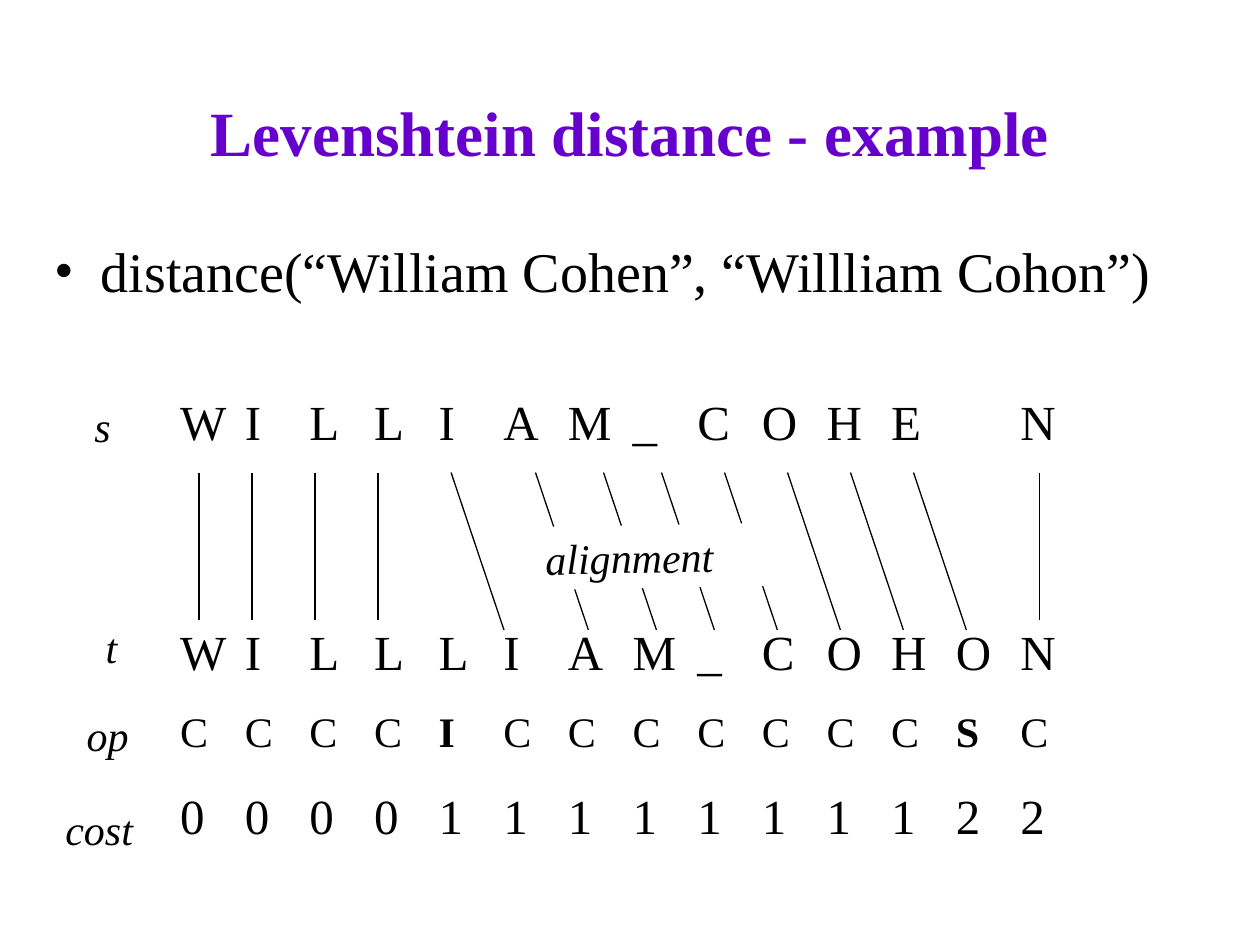
from lxml import etree
from pptx import Presentation
from pptx.dml.color import RGBColor
from pptx.enum.shapes import MSO_CONNECTOR, MSO_SHAPE
from pptx.enum.text import MSO_ANCHOR, MSO_AUTO_SIZE, PP_ALIGN
from pptx.oxml.ns import qn
from pptx.util import Inches, Pt

STRAIGHT = MSO_CONNECTOR.STRAIGHT
RECTANGLE = MSO_SHAPE.RECTANGLE
MIDDLE, TOP = MSO_ANCHOR.MIDDLE, MSO_ANCHOR.TOP
NO_FIT, GROW = MSO_AUTO_SIZE.NONE, MSO_AUTO_SIZE.SHAPE_TO_FIT_TEXT
LEFT, CENTER, RIGHT = PP_ALIGN.LEFT, PP_ALIGN.CENTER, PP_ALIGN.RIGHT

TITLE = "Levenshtein distance - example"
QUESTION = "distance(“William Cohen”, “Willliam Cohon”)"
ALIGNMENT = "alignment"

# One character per column; a space is an empty cell
SOURCE = "WILLIAM_COHE N"
TARGET = "WILLLIAM_COHON"
OPERATIONS = "CCCCICCCCCCCSC"
COSTS = "00001111111122"
EDITS = "IS"

# text, left, top, width, alignment
ROW_LABELS = [
    ("s", 0.65, 3.13, 0.33, LEFT),
    ("t", 0.74, 4.88, 0.29, LEFT),
    ("op", 0.59, 5.58, 0.53, RIGHT),
    ("cost", 0.42, 6.33, 0.78, LEFT),
]

THEME = {
    "font": "Times New Roman",
    "title_color": RGBColor(0x66, 0x00, 0xCC),
    "ink": RGBColor(0x00, 0x00, 0x00),
    "paper": RGBColor(0xFF, 0xFF, 0xFF),
    "title": 36,
    "body": 32,
    "letter": 28,
    "label": 24,
    "line": 0.75,
}

# text, height, type size
TABLE_ROWS = [
    (SOURCE, 0.69, THEME["letter"]),
    (" " * len(SOURCE), 1.14, THEME["letter"]),
    (TARGET, 0.65, THEME["letter"]),
    (OPERATIONS, 0.65, THEME["label"]),
    (COSTS, 0.73, THEME["letter"]),
]
TABLE_LEFT, TABLE_TOP, TABLE_WIDTH, LAST_COLUMN = 1.33, 3.17, 7.92, 1.25

LINE_TOP = 3.75
STRAIGHT_STARTS = [1.58, 2, 2.5, 3, 8.25]
SHIFTED_STARTS = [3.58, 4.25, 4.79, 5.25, 5.75, 6.25, 6.75, 7.25]
STRAIGHT_BOTTOM, SHIFTED_BOTTOM, SHIFT = 4.92, 5, 0.42


def place(shape, left, top, width, height):
    shape.left, shape.top = Inches(left), Inches(top)
    shape.width, shape.height = Inches(width), Inches(height)


def write(text_frame, text, size, color=THEME["ink"], bold=False, italic=False,
          alignment=LEFT):
    text_frame.text = text
    paragraph = text_frame.paragraphs[0]
    paragraph.alignment = alignment
    paragraph.space_before = Pt(0)
    for run in paragraph.runs:
        font = run.font
        font.name, font.size = THEME["font"], Pt(size)
        font.bold, font.italic = bold, italic
        font.color.rgb = color
    return paragraph


def add_bullet(paragraph, indent):
    properties = paragraph._p.get_or_add_pPr()
    properties.set("marL", str(Inches(indent)))
    properties.set("indent", str(-Inches(indent)))
    etree.SubElement(properties, qn("a:buFont")).set("typeface", THEME["font"])
    etree.SubElement(properties, qn("a:buChar")).set("char", "•")


def add_placeholders(slide):
    title, body = slide.placeholders
    place(title, 0.75, 0.42, 8.5, 1.25)
    place(body, 0.33, 1.83, 9.33, 0.92)
    write(title.text_frame, TITLE, THEME["title"], THEME["title_color"],
          bold=True, alignment=CENTER)
    add_bullet(write(body.text_frame, QUESTION, THEME["body"]), 0.37)
    for shape, anchor in ((title, MIDDLE), (body, TOP)):
        shape.text_frame.vertical_anchor = anchor
        shape.text_frame.auto_size = NO_FIT


def add_alignment_table(slide):
    column_count = len(SOURCE)
    height = sum(row_height for _, row_height, _ in TABLE_ROWS)
    table = slide.shapes.add_table(
        len(TABLE_ROWS), column_count, Inches(TABLE_LEFT), Inches(TABLE_TOP),
        Inches(TABLE_WIDTH), Inches(height)).table
    table.first_row = table.horz_banding = False
    letter_width = (TABLE_WIDTH - LAST_COLUMN) / (column_count - 1)
    for column in table.columns:
        column.width = Inches(letter_width)
    table.columns[column_count - 1].width = Inches(LAST_COLUMN)
    for row, (letters, row_height, size) in zip(table.rows, TABLE_ROWS):
        row.height = Inches(row_height)
        for cell, letter in zip(row.cells, letters):
            cell.fill.background()
            bold = letters == OPERATIONS and letter in EDITS
            paragraph = write(cell.text_frame, letter.strip(), size, bold=bold)
            paragraph.line_spacing = 0.8


def add_line(slide, start, end, bottom):
    line = slide.shapes.add_connector(
        STRAIGHT, Inches(start), Inches(LINE_TOP), Inches(end), Inches(bottom))
    line.line.color.rgb = THEME["ink"]
    line.line.width = Pt(THEME["line"])
    etree.SubElement(line._element.spPr, qn("a:effectLst"))


def add_row_labels(slide):
    for text, left, top, width, alignment in ROW_LABELS:
        label = slide.shapes.add_textbox(
            Inches(left), Inches(top), Inches(width), Inches(0.5))
        label.text_frame.word_wrap = False
        label.text_frame.auto_size = NO_FIT
        write(label.text_frame, text, THEME["label"], italic=True,
              alignment=alignment)


def add_alignment_label(slide):
    label = slide.shapes.add_shape(
        RECTANGLE, Inches(3.91), Inches(4.17), Inches(2.17), Inches(0.5))
    label.rotation = 359
    label.shadow.inherit = False
    label.fill.solid()
    label.fill.fore_color.rgb = THEME["paper"]
    label.line.fill.background()
    label.text_frame.vertical_anchor = TOP
    label.text_frame.auto_size = GROW
    write(label.text_frame, ALIGNMENT, THEME["label"], italic=True,
          alignment=CENTER)


def main():
    presentation = Presentation()
    presentation.slide_width, presentation.slide_height = Inches(10), Inches(7.5)
    slide = presentation.slides.add_slide(presentation.slide_layouts[1])
    add_placeholders(slide)
    add_alignment_table(slide)
    for start in STRAIGHT_STARTS:
        add_line(slide, start, start, STRAIGHT_BOTTOM)
    for start in SHIFTED_STARTS:
        add_line(slide, start, start + SHIFT, SHIFTED_BOTTOM)
    add_row_labels(slide)
    add_alignment_label(slide)
    presentation.save("out.pptx")


if __name__ == "__main__":
    main()
